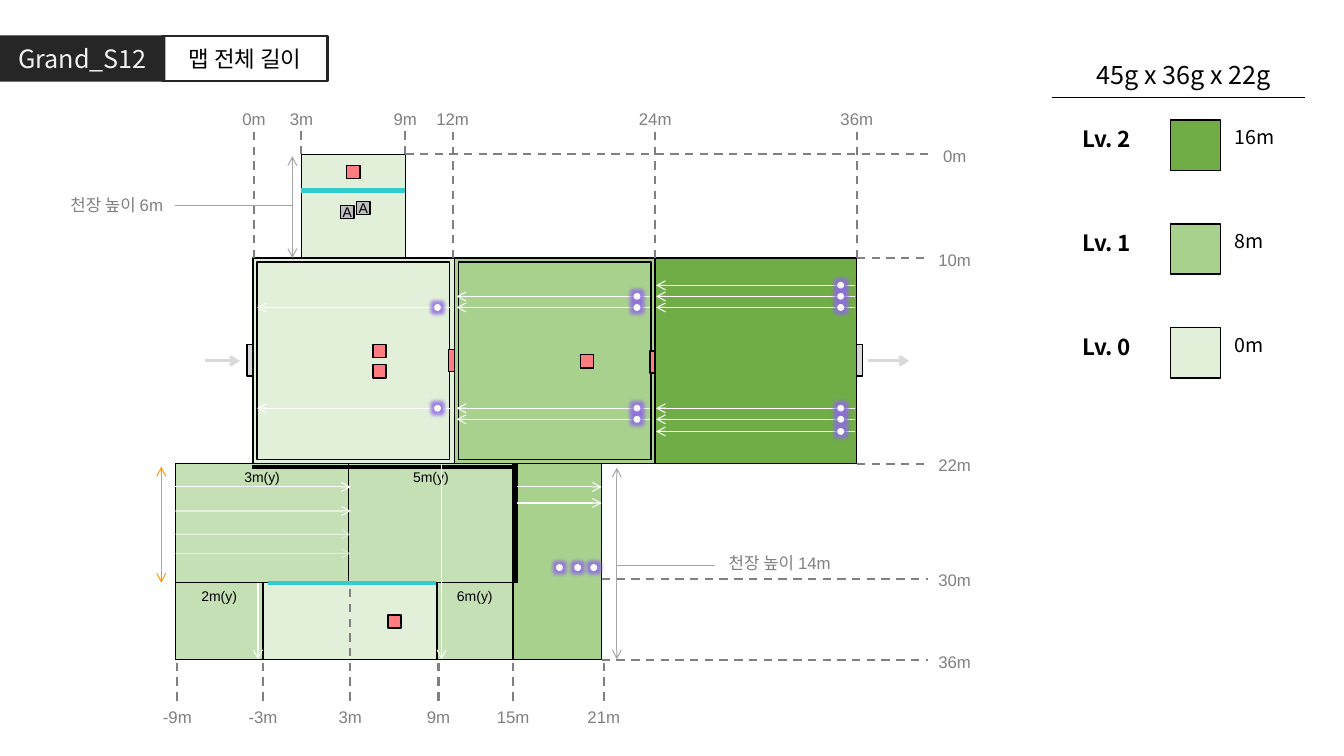
"""Build the Grand_S12 map length slide."""
from lxml.etree import SubElement
from pptx import Presentation
from pptx.dml.color import RGBColor
from pptx.enum.dml import MSO_LINE
from pptx.enum.shapes import MSO_CONNECTOR, MSO_SHAPE
from pptx.enum.text import MSO_ANCHOR, PP_ALIGN
from pptx.oxml.ns import qn
from pptx.util import Pt

BLACK = RGBColor(0, 0, 0)
WHITE = RGBColor(255, 255, 255)
DARK = RGBColor(0x26, 0x26, 0x26)
PALE = RGBColor(0xF2, 0xF2, 0xF2)
LEVEL0 = RGBColor(0xE2, 0xF0, 0xD9)
LEVEL1 = RGBColor(0xA9, 0xD1, 0x8E)
LEVEL2 = RGBColor(0x70, 0xAD, 0x47)
RAISED = RGBColor(0xC5, 0xE0, 0xB4)
GATE = RGBColor(0xD9, 0xD9, 0xD9)
BOX = RGBColor(0xBF, 0xBF, 0xBF)
RED = RGBColor(0xFF, 0x7C, 0x80)
TEAL = RGBColor(0x33, 0xCC, 0xCC)
ORANGE = RGBColor(0xFF, 0x99, 0)
GREY = RGBColor(0x80, 0x80, 0x80)
MID = RGBColor(0xA6, 0xA6, 0xA6)
GLOW = "9069E8"
NOTO = "Noto Sans CJK KR"

LEVELS = [("Lv. 2", "16m", LEVEL2), ("Lv. 1", "8m", LEVEL1), ("Lv. 0", "0m", LEVEL0)]
ROOMS = [
    (180.7, 184.3, 144, 146.9, LEVEL0, ""),
    (324.7, 184.3, 144, 146.9, LEVEL1, ""),
    (183.6, 187.2, 137.5, 141.1, LEVEL0, ""),
    (327.6, 187.2, 137.5, 141.1, LEVEL1, ""),
    (320.4, 249.8, 4.3, 15.8, RED, ""),
    (464.4, 250.6, 4.3, 15.8, RED, ""),
    (468, 184.3, 144, 146.9, LEVEL2, ""),
    (176.4, 246.2, 4.3, 22.3, GATE, ""),
    (612, 246.2, 4.3, 22.3, GATE, ""),
    (215.3, 110.2, 74.2, 74.2, LEVEL0, ""),
    (125.3, 331.2, 304.6, 139.9, LEVEL1, ""),
    (311.8, 416.2, 54.7, 54.9, RAISED, "6m(y)"),
    (249.1, 331.2, 117.4, 85, RAISED, "5m(y)"),
    (187.9, 416.2, 124.2, 54.9, LEVEL0, ""),
    (125.3, 331.2, 123.8, 85, RAISED, "3m(y)"),
    (125.3, 416.2, 62.6, 54.9, RAISED, "2m(y)"),
]
MARKERS = [
    (254.9, 144, BOX, "A"), (243.4, 146.9, BOX, "A"), (247.7, 118.1, RED, ""),
    (266.4, 246.2, RED, ""), (266.4, 260.6, RED, ""), (414.7, 253.4, RED, ""),
    (277.2, 439.2, RED, ""),
]
TOP_TICKS = [("0m", 181.4, 184.3), ("3m", 215.3, 110.2), ("9m", 289.4, 110.2),
             ("12m", 323.3, 184.3), ("24m", 468, 184.3), ("36m", 612, 184.3)]
SIDE_TICKS = [("0m", 289.4, 110.2), ("10m", 612, 184.3), ("22m", 612, 331.2),
              ("30m", 429.8, 413.3), ("36m", 429.8, 471.6)]
BOTTOM_TICKS = [("-9m", 126.7, 472.3), ("-3m", 187.9, 472.3), ("3m", 250.2, 416.2),
                ("9m", 313.2, 472.3), ("15m", 366.5, 472.3), ("21m", 431.3, 472.3)]
FLOWS = [
    (321.1, 183.6, 312.5, [219.6, 291.6]),
    (464.4, 326.2, 455, [211.7, 219.6, 291.6, 299.5]),
    (610.6, 468.7, 600.5, [203.8, 211.7, 219.6, 291.6, 299.5, 308.2]),
]
LOWER_DOTS = [399.6, 412.6, 424.1]
LOWER_ARROWS = [
    (369.4, 347.8, 429.8, 347.8, 100), (369.4, 359.3, 429.8, 359.3, 100),
    (315.4, 331.2, 315.4, 470.9, 100), (184.3, 416.2, 184.3, 470.9, 100),
    (125.3, 347.8, 250.6, 347.8, 100), (125.3, 365, 250.6, 365, 90),
    (125.3, 381.6, 250.6, 381.6, 49), (125.3, 395.3, 250.6, 395.3, 49),
]
WALLS = [
    (215.3, 136.1, 289.4, 136.1, TEAL), (191.5, 416.2, 311.8, 416.2, TEAL),
    (368.6, 416.2, 368.6, 331.2, BLACK), (368.6, 333.4, 180, 333.4, BLACK),
]
EXITS = [(146.2, 171.4), (619.9, 649.4)]
SPANS = [(115.2, 416.2, 333.4, ORANGE), (208.8, 184.3, 111.6, MID), (440.6, 470.9, 334.1, MID)]
HEIGHTS = [("천장 높이 6m", 36.9, 135.4, 208.8, 125.3, 146.9),
           ("천장 높이 14m", 510.5, 391, 510.5, 440.6, 403.9)]

prs = Presentation()
prs.slide_width, prs.slide_height = Pt(960), Pt(540)
s = prs.slides.add_slide(prs.slide_layouts[5])


def write(sp, text, size=12, color=BLACK, font="Arial", bold=False,
          align=PP_ALIGN.CENTER, anchor=MSO_ANCHOR.TOP, inset=(7.2, 3.6)):
    tf = sp.text_frame
    tf.word_wrap = True
    tf.vertical_anchor = anchor
    tf.margin_left = tf.margin_right = Pt(inset[0])
    tf.margin_top = tf.margin_bottom = Pt(inset[1])
    p = tf.paragraphs[0]
    p.alignment = align
    r = p.add_run()
    r.text = text
    r.font.size, r.font.name, r.font.bold = Pt(size), font, bold
    r.font.color.rgb = color


def label(x, y, w, h, text, **fmt):
    write(s.shapes.add_textbox(Pt(x), Pt(y), Pt(w), Pt(h)), text, **fmt)


def shape(x, y, w, h, fill=None, line=BLACK, width=1, kind=MSO_SHAPE.RECTANGLE):
    sp = s.shapes.add_shape(kind, Pt(x), Pt(y), Pt(w), Pt(h))
    sp.shadow.inherit = False
    if fill is None:
        sp.fill.background()
    else:
        sp.fill.solid()
        sp.fill.fore_color.rgb = fill
    sp.line.color.rgb, sp.line.width = line, Pt(width)
    return sp


def line(x1, y1, x2, y2, color=WHITE, width=0.75, dash=False, ends=(), alpha=100):
    c = s.shapes.add_connector(MSO_CONNECTOR.STRAIGHT, Pt(x1), Pt(y1), Pt(x2), Pt(y2))
    c.line.color.rgb, c.line.width = color, Pt(width)
    if dash:
        c.line.dash_style = MSO_LINE.DASH
    spPr = c.element.spPr
    ln = spPr.find(qn("a:ln"))
    if alpha < 100:
        SubElement(next(ln.iter(qn("a:srgbClr"))), qn("a:alpha"), val=str(alpha * 1000))
    for end in ends:
        SubElement(ln, qn(f"a:{end}End"), type="arrow")
    SubElement(spPr, qn("a:effectLst"))


def dot(cx, cy):
    sp = shape(cx - 1.4, cy - 1.4, 2.8, 2.8, WHITE, WHITE, 2, MSO_SHAPE.OVAL)
    effects = sp.element.spPr.find(qn("a:effectLst"))
    glow = SubElement(effects, qn("a:glow"), rad=str(Pt(5)))
    clr = SubElement(glow, qn("a:srgbClr"), val=GLOW)
    SubElement(clr, qn("a:alpha"), val="80000")


title = s.shapes.title
title.left, title.top, title.width, title.height = Pt(0), Pt(25.2), Pt(118.1), Pt(33.1)
title.fill.solid()
title.fill.fore_color.rgb = DARK
write(title, "Grand_S12", size=18, color=PALE, font=NOTO, anchor=MSO_ANCHOR.MIDDLE)
write(shape(115.9, 25.9, 118.1, 31.7, line=DARK, width=1.5), "맵 전체 길이",
      size=16, anchor=MSO_ANCHOR.MIDDLE)

label(766.4, 38.9, 158.4, 28.8, "45g x 36g x 22g", size=18, font=NOTO)
line(751.7, 69.8, 932.4, 69.8, BLACK, 1)
for i, (name, height, color) in enumerate(LEVELS):
    y = 85.7 + 74.2 * i
    label(766.1, y, 77, 25.9, name, size=16, font=NOTO, bold=True, align=PP_ALIGN.LEFT)
    shape(835.9, y, 36, 36, color)
    label(874.8, y, 51.1, 23.8, height, size=14, font=NOTO, align=PP_ALIGN.LEFT)

for x, y, w, h, color, text in ROOMS:
    room = shape(x, y, w, h, color)
    if text:
        write(room, text, size=10)

for text, x, y in TOP_TICKS:
    line(x, y, x, 93.6, GREY, 1.5, dash=True)
    label(x - 20.9, 74.2, 41.8, 19.4, text, color=GREY)
for text, x, y in SIDE_TICKS:
    line(x, y, 663, y, GREY, 1.5, dash=True)
    label(661, y - 9.7, 41.8, 19.4, text, color=GREY)
for text, x, y in BOTTOM_TICKS:
    line(x, 500.4, x, y, GREY, 1.5, dash=True)
    label(x - 20.9, 501.1, 41.8, 21, text, color=GREY)

for x1, y1, x2, y2, color in WALLS:
    line(x1, y1, x2, y2, color, 3)
for x1, x2 in EXITS:
    line(x1, 257.8, x2, 257.8, GATE, 2.25, ends=["tail"])
for x1, y1, x2, y2, alpha in LOWER_ARROWS:
    line(x1, y1, x2, y2, ends=["tail"], alpha=alpha)
for x, y1, y2, color in SPANS:
    line(x, y1, x, y2, color, ends=["head", "tail"])
for text, x, y, x1, x2, line_y in HEIGHTS:
    line(x1, line_y, x2, line_y, MID)
    label(x, y, 92.9, 21.6, text, color=GREY)

for x1, x2, _, rows in FLOWS:
    for y in rows:
        line(x1, y, x2, y, ends=["tail"])
for _, _, x, rows in FLOWS:
    for y in rows:
        dot(x, y)
for x in LOWER_DOTS:
    dot(x, 405.4)
for x, y, color, text in MARKERS:
    marker = shape(x, y, 9.4, 9.4, color)
    if text:
        write(marker, text, size=10, anchor=MSO_ANCHOR.MIDDLE, inset=(0, 0))

prs.save("out.pptx")
